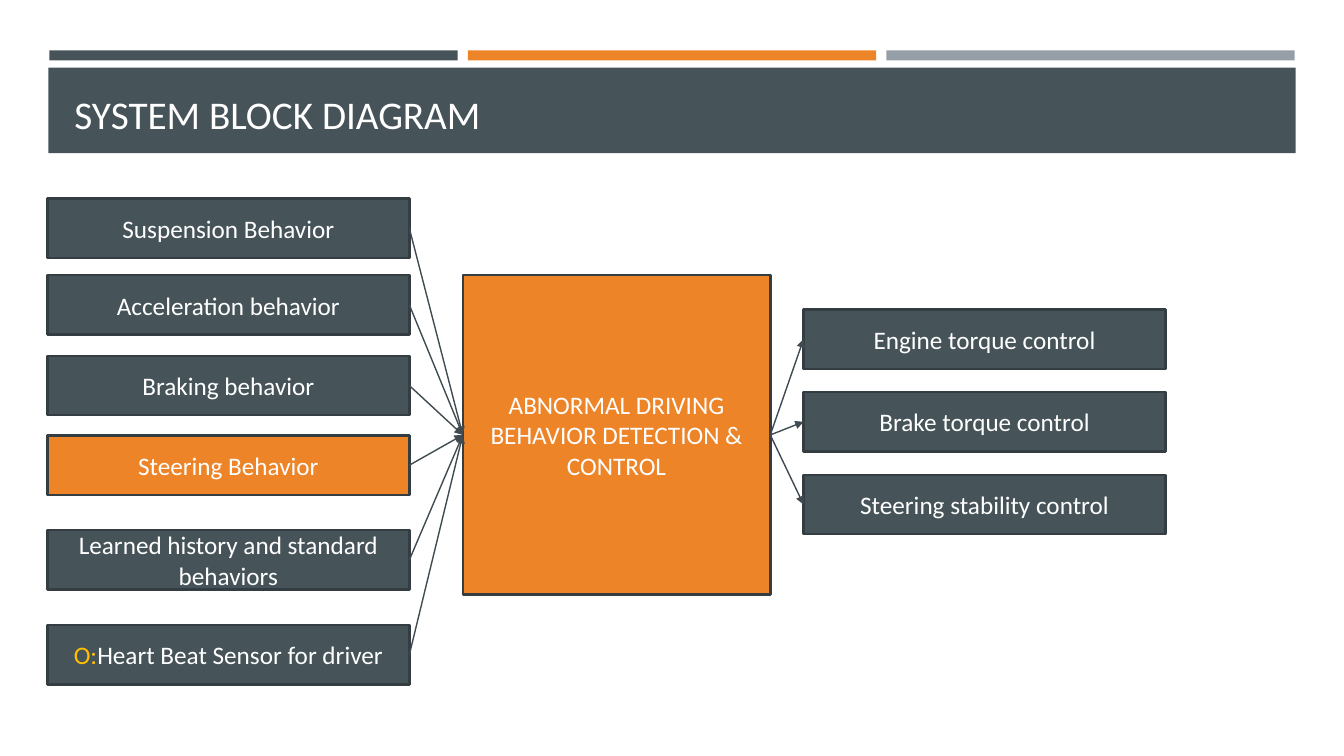
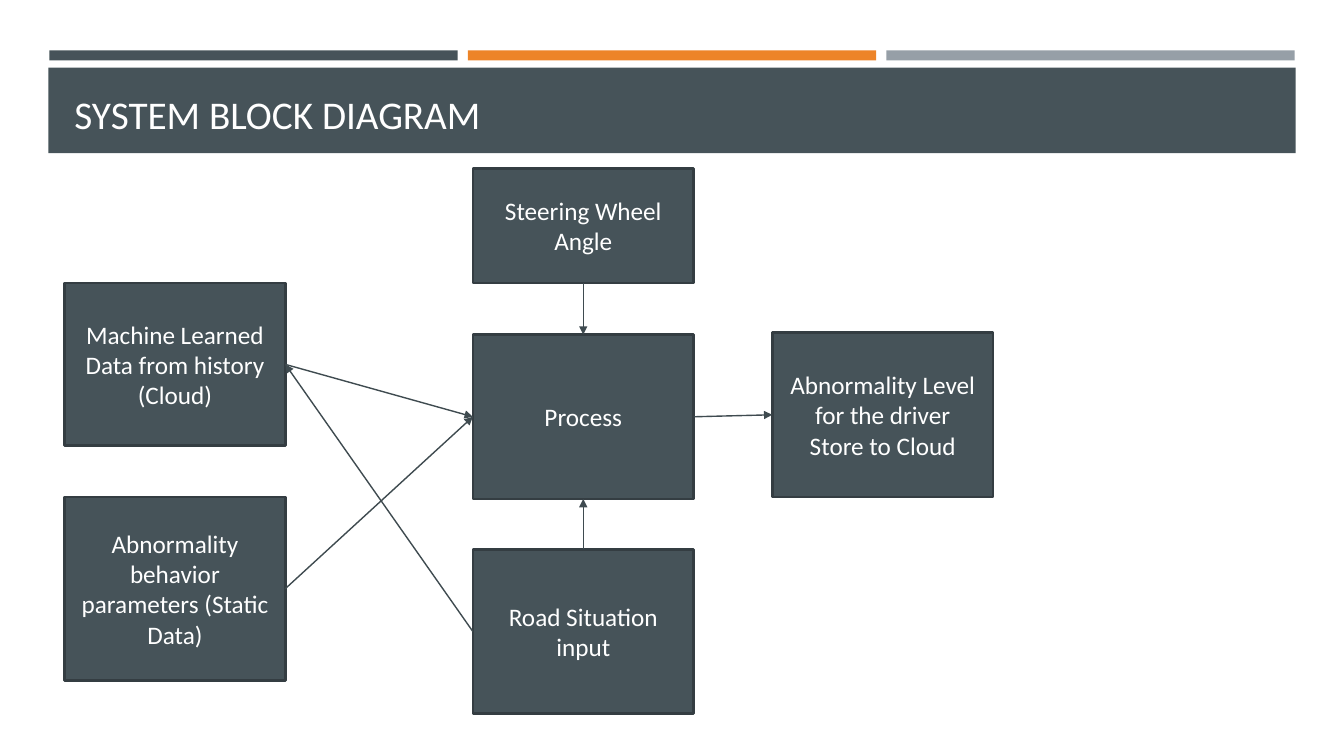
"""Build two slides with block diagrams of a driving behavior detection system."""
from dataclasses import dataclass

from lxml.etree import SubElement
from pptx import Presentation
from pptx.dml.color import RGBColor
from pptx.enum.shapes import MSO_CONNECTOR as Connector, MSO_SHAPE as Shape
from pptx.enum.text import MSO_ANCHOR as Anchor, PP_ALIGN as Align
from pptx.oxml.ns import qn
from pptx.util import Pt

PX = 9144
TOP, LEFT, BOTTOM, RIGHT = range(4)


@dataclass(frozen=True)
class Theme:
    slate: RGBColor = RGBColor.from_string("465359")
    orange: RGBColor = RGBColor.from_string("ED8428")
    gray: RGBColor = RGBColor.from_string("969FA7")
    outline: RGBColor = RGBColor.from_string("343D42")
    arrow: RGBColor = RGBColor.from_string("3F4B50")
    white: RGBColor = RGBColor.from_string("FFFFFF")
    gold: RGBColor = RGBColor.from_string("FFC000")
    font: str = "Calibri"
    title_size: Pt = Pt(28)
    body_size: Pt = Pt(18)
    outline_width: Pt = Pt(1.75)
    arrow_width: Pt = Pt(1)


theme = Theme()


def add_block(slide, box, text="", fill=theme.slate, size=theme.body_size,
              align=Align.CENTER, anchor=Anchor.MIDDLE, outlined=True):
    shape = slide.shapes.add_shape(Shape.RECTANGLE, *(value * PX for value in box))
    shape.shadow.inherit = False
    if fill is None:
        shape.fill.background()
    else:
        shape.fill.solid()
        shape.fill.fore_color.rgb = fill
    if outlined:
        shape.line.color.rgb = theme.outline
        shape.line.width = theme.outline_width
    else:
        shape.line.fill.background()
    frame = shape.text_frame
    frame.word_wrap = True
    frame.vertical_anchor = anchor
    frame.text = text
    for paragraph in frame.paragraphs:
        paragraph.alignment = align
        paragraph.font.name = theme.font
        paragraph.font.size = size
        paragraph.font.color.rgb = theme.white
    return shape


def add_arrow(slide, start, start_side, end, end_side):
    connector = slide.shapes.add_connector(Connector.STRAIGHT, 0, 0, 0, 0)
    connector.begin_connect(start, start_side)
    connector.end_connect(end, end_side)
    connector.line.color.rgb = theme.arrow
    connector.line.width = theme.arrow_width
    SubElement(connector.line._get_or_add_ln(), qn("a:tailEnd"), type="triangle")
    SubElement(connector._element.spPr, qn("a:effectLst"))


presentation = Presentation()
presentation.slide_width = 1333 * PX
presentation.slide_height = 750 * PX
blank = presentation.slide_layouts[6]
overview, process_flow = [presentation.slides.add_slide(blank) for _ in range(2)]

for slide in (overview, process_flow):
    for column, color in enumerate((theme.slate, theme.orange, theme.gray)):
        add_block(slide, (49 + 415 * column, 50, 405, 10), fill=color, outlined=False)
    add_block(slide, (48, 67, 1237, 85), outlined=False)
    add_block(slide, (64, 77, 1206, 64), "SYSTEM BLOCK DIAGRAM", fill=None,
              size=theme.title_size, align=Align.LEFT, anchor=Anchor.BOTTOM,
              outlined=False)

detection = add_block(overview, (459, 273, 305, 317),
                      "ABNORMAL DRIVING BEHAVIOR DETECTION & CONTROL", theme.orange)

inputs = [
    (197, "Suspension Behavior", theme.slate),
    (273, "Acceleration behavior", theme.slate),
    (353, "Braking behavior", theme.slate),
    (432, "Steering Behavior", theme.orange),
    (526, "Learned history and standard behaviors", theme.slate),
    (620, "O:", theme.slate),
]
for top, text, color in inputs:
    source = add_block(overview, (47, top, 359, 59), text, color)
    add_arrow(overview, source, RIGHT, detection, LEFT)

heart_beat = source.text_frame.paragraphs[0]
heart_beat.runs[0].font.color.rgb = theme.gold
heart_beat.add_run().text = "Heart Beat Sensor for driver"

outputs = ("Engine torque control", "Brake torque control", "Steering stability control")
for row, text in enumerate(outputs):
    target = add_block(overview, (797, 307 + 82 * row, 359, 59), text)
    add_arrow(overview, detection, RIGHT, target, LEFT)

flow_blocks = {
    "history": (64, 281, 161, "Machine Learned Data from history (Cloud)"),
    "parameters": (64, 493, 182, "Abnormality behavior parameters (Static Data)"),
    "angle": (469, 167, 114, "Steering Wheel Angle"),
    "process": (469, 332, 163, "Process"),
    "road": (469, 545, 163, "Road Situation input"),
    "level": (766, 330, 163, "Abnormality Level\nfor the driver\nStore to Cloud"),
}
blocks = {
    name: add_block(process_flow, (left, top, 219, height), text)
    for name, (left, top, height, text) in flow_blocks.items()
}

flow_arrows = [
    ("parameters", RIGHT, "process", LEFT),
    ("road", TOP, "process", BOTTOM),
    ("history", RIGHT, "process", LEFT),
    ("road", LEFT, "history", RIGHT),
    ("angle", BOTTOM, "process", TOP),
    ("process", RIGHT, "level", LEFT),
]
for start, start_side, end, end_side in flow_arrows:
    add_arrow(process_flow, blocks[start], start_side, blocks[end], end_side)

presentation.save("out.pptx")
